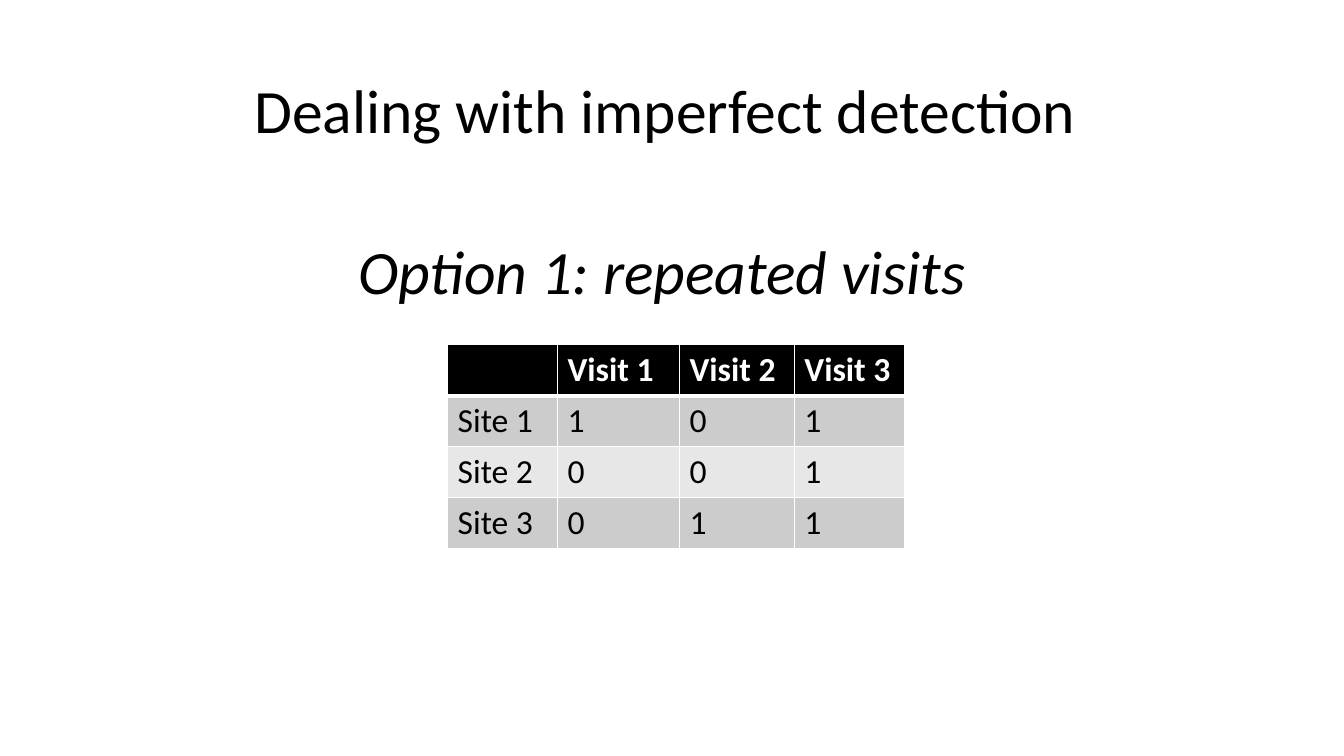
from dataclasses import dataclass

from lxml.etree import SubElement
from pptx import Presentation
from pptx.dml.color import RGBColor
from pptx.enum.text import MSO_ANCHOR, PP_ALIGN
from pptx.oxml.ns import qn
from pptx.slide import Slide
from pptx.table import _Cell
from pptx.util import Inches, Pt

SLIDE_W = Inches(13.33)
SLIDE_H = Inches(7.5)


@dataclass(frozen=True)
class Theme:
    font: str = "Calibri"
    black: str = "000000"
    white: str = "FFFFFF"
    bands: tuple[str, str] = ("CCCCCC", "E7E7E7")
    heading_size: int = 44
    table_size: int = 24
    rule: int = 1
    header_rule: int = 3


@dataclass(frozen=True)
class Heading:
    text: str
    left: float
    top: float
    width: float
    height: float
    italic: bool = False


@dataclass(frozen=True)
class VisitTable:
    left: float
    top: float
    columns: tuple[float, ...]
    row: float
    rows: tuple[tuple[str, ...], ...]


THEME = Theme()

HEADINGS = (
    Heading("Dealing with imperfect detection ", 6.9, 5.33, 86.27, 19.33),
    Heading("Option 1: repeated visits", 6.15, 28.53, 86.27, 15.6, italic=True),
)

VISITS = VisitTable(
    left=33.3,
    top=45.6,
    columns=(8.18, 9.08, 8.55, 8.18),
    row=6.75,
    rows=(
        ("", "Visit 1", "Visit 2", "Visit 3"),
        ("Site 1", "1", "0", "1"),
        ("Site 2", "0", "0", "1"),
        ("Site 3", "0", "1", "1"),
    ),
)


def across(percent: float) -> int:
    return round(SLIDE_W * percent / 100)


def down(percent: float) -> int:
    return round(SLIDE_H * percent / 100)


def add_heading(s: Slide, heading: Heading) -> None:
    sp = s.shapes.add_textbox(
        across(heading.left), down(heading.top), across(heading.width), down(heading.height)
    )
    tf = sp.text_frame
    tf.word_wrap = True
    tf.vertical_anchor = MSO_ANCHOR.MIDDLE
    p = tf.paragraphs[0]
    p.text = heading.text
    p.alignment = PP_ALIGN.CENTER
    p.line_spacing = 0.9
    p.font.name = THEME.font
    p.font.size = Pt(THEME.heading_size)
    p.font.italic = heading.italic
    p.font.color.rgb = RGBColor.from_string(THEME.black)


def add_borders(cell: _Cell, top: int, bottom: int) -> None:
    tc_pr = cell._tc.get_or_add_tcPr()
    widths = {"lnL": THEME.rule, "lnR": THEME.rule, "lnT": top, "lnB": bottom}
    for side, width in widths.items():
        ln = SubElement(tc_pr, qn(f"a:{side}"), w=str(Pt(width)))
        fill = SubElement(ln, qn("a:solidFill"))
        SubElement(fill, qn("a:srgbClr"), val=THEME.white)


def style_cell(cell: _Cell, text: str, row: int) -> None:
    header = row == 0
    add_borders(
        cell,
        top=THEME.header_rule if row == 1 else THEME.rule,
        bottom=THEME.header_rule if header else THEME.rule,
    )
    fill = THEME.black if header else THEME.bands[(row - 1) % 2]
    cell.fill.solid()
    cell.fill.fore_color.rgb = RGBColor.from_string(fill)
    p = cell.text_frame.paragraphs[0]
    p.text = text
    p.font.name = THEME.font
    p.font.size = Pt(THEME.table_size)
    p.font.bold = header
    p.font.color.rgb = RGBColor.from_string(THEME.white if header else THEME.black)


def add_visits(s: Slide, visits: VisitTable) -> None:
    table = s.shapes.add_table(
        len(visits.rows),
        len(visits.columns),
        across(visits.left),
        down(visits.top),
        across(sum(visits.columns)),
        down(visits.row * len(visits.rows)),
    ).table
    for column, width in zip(table.columns, visits.columns):
        column.width = across(width)
    for i, texts in enumerate(visits.rows):
        table.rows[i].height = down(visits.row)
        for j, text in enumerate(texts):
            style_cell(table.cell(i, j), text, i)


def main() -> None:
    prs = Presentation()
    prs.slide_width = SLIDE_W
    prs.slide_height = SLIDE_H
    s = prs.slides.add_slide(prs.slide_layouts[6])
    for heading in HEADINGS:
        add_heading(s, heading)
    add_visits(s, VISITS)
    prs.save("out.pptx")


if __name__ == "__main__":
    main()
